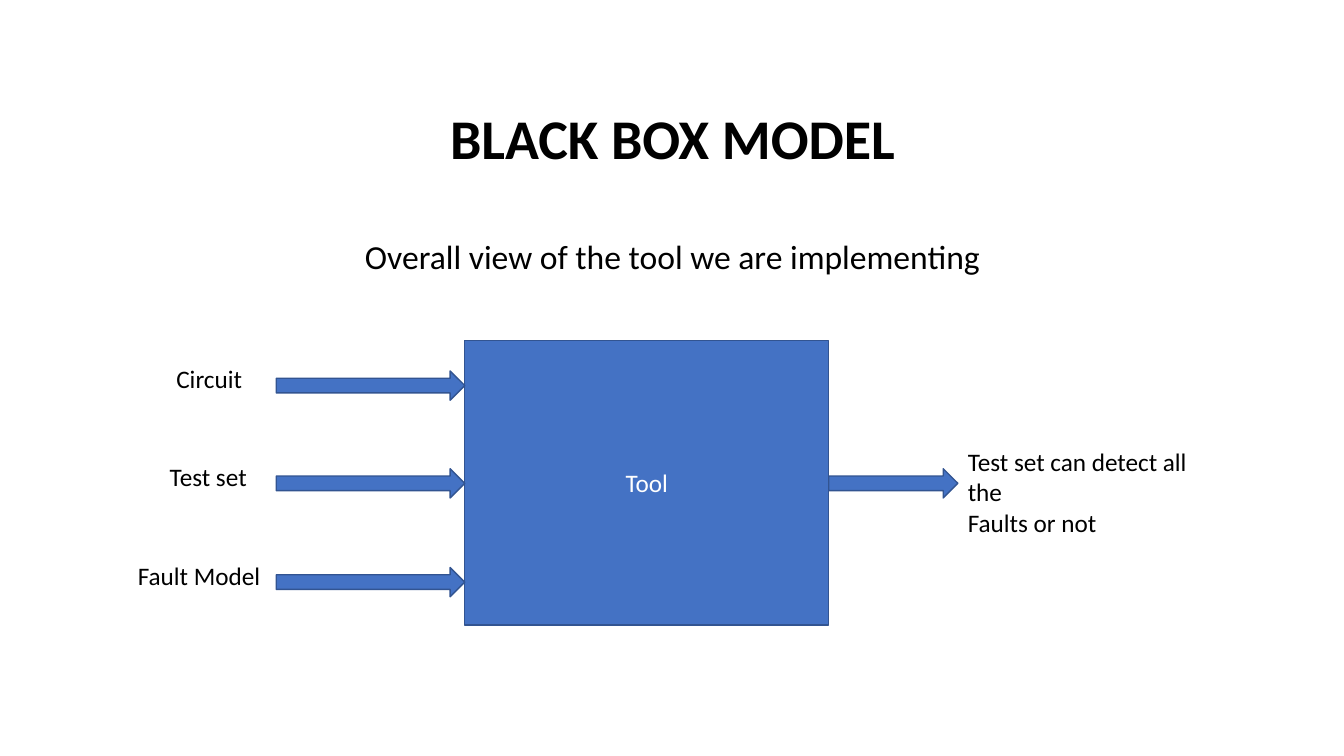
"""Builds the black box model slide."""
from dataclasses import dataclass

from pptx import Presentation
from pptx import util as u
from pptx.dml.color import RGBColor
from pptx.enum import shapes, text


@dataclass(frozen=True)
class Theme:
    font: str = "Calibri"
    ink: str = "000000"
    paper: str = "FFFFFF"
    fill: str = "4472C4"
    outline: str = "325491"
    title_size: int = 40
    subtitle_size: int = 24
    body_size: int = 18


def px(length):
    return u.Emu(length * 9144)


class Page:
    def __init__(self, slide, theme):
        self.slide = slide
        self.theme = theme

    def set_text(self, box, content, size=None, color=None, bold=False,
                 align=text.PP_ALIGN.CENTER, anchor=text.MSO_ANCHOR.TOP, spacing=None):
        frame = box.text_frame
        frame.word_wrap = True
        frame.auto_size = text.MSO_AUTO_SIZE.NONE
        frame.vertical_anchor = anchor
        frame.text = content
        for para in frame.paragraphs:
            para.alignment = align
            para.space_before = u.Pt(0)
            para.line_spacing = spacing
            for span in para.runs:
                span.font.name = self.theme.font
                span.font.size = u.Pt(size or self.theme.body_size)
                span.font.bold = bold
                span.font.color.rgb = RGBColor.from_string(color or self.theme.ink)

    def heading(self, index, content, left, top, width, height, **style):
        box = self.slide.placeholders[index]
        box.left, box.top, box.width, box.height = map(px, (left, top, width, height))
        self.set_text(box, content, spacing=0.9, **style)

    def shape(self, kind, left, top, width, height):
        box = self.slide.shapes.add_shape(kind, *map(px, (left, top, width, height)))
        box.shadow.inherit = False
        box.fill.solid()
        box.fill.fore_color.rgb = RGBColor.from_string(self.theme.fill)
        box.line.color.rgb = RGBColor.from_string(self.theme.outline)
        box.line.width = u.Pt(1)
        return box

    def block(self, content, left, top, width, height):
        box = self.shape(shapes.MSO_SHAPE.RECTANGLE, left, top, width, height)
        self.set_text(box, content, color=self.theme.paper, anchor=text.MSO_ANCHOR.MIDDLE)

    def arrow(self, left, top, width, height=29):
        self.shape(shapes.MSO_SHAPE.RIGHT_ARROW, left, top, width, height)

    def label(self, content, left, top, width, height=40, **style):
        box = self.slide.shapes.add_textbox(*map(px, (left, top, width, height)))
        self.set_text(box, content, **style)


def main():
    theme = Theme()
    deck = Presentation()
    deck.slide_width, deck.slide_height = px(1333), px(750)
    page = Page(deck.slides.add_slide(deck.slide_layouts[0]), theme)

    page.heading(0, "BLACK BOX MODEL", 167, 87, 1000, 88, size=theme.title_size,
                 bold=True, anchor=text.MSO_ANCHOR.BOTTOM)
    page.heading(1, "Overall view of the tool we are implementing", 167, 234, 1000, 57,
                 size=theme.subtitle_size)

    tool_left, tool_width = 461, 361
    page.block("Tool", tool_left, 338, tool_width, 282)

    inputs = [("Circuit", 143, 129), ("Test set", 142, 129), ("Fault Model", 121, 153)]
    input_width = 187
    for row, (name, left, width) in enumerate(inputs):
        top = 368 + row * 195 // 2
        page.arrow(tool_left - input_width, top, input_width)
        page.label(name, left, top - 12, width)

    tool_right = tool_left + tool_width
    output_width = 128
    page.arrow(tool_right, 465, output_width)
    page.label("Test set can detect all the\nFaults or not", tool_right + output_width, 438,
               241, 101, align=text.PP_ALIGN.LEFT)

    deck.save("out.pptx")


if __name__ == "__main__":
    main()
